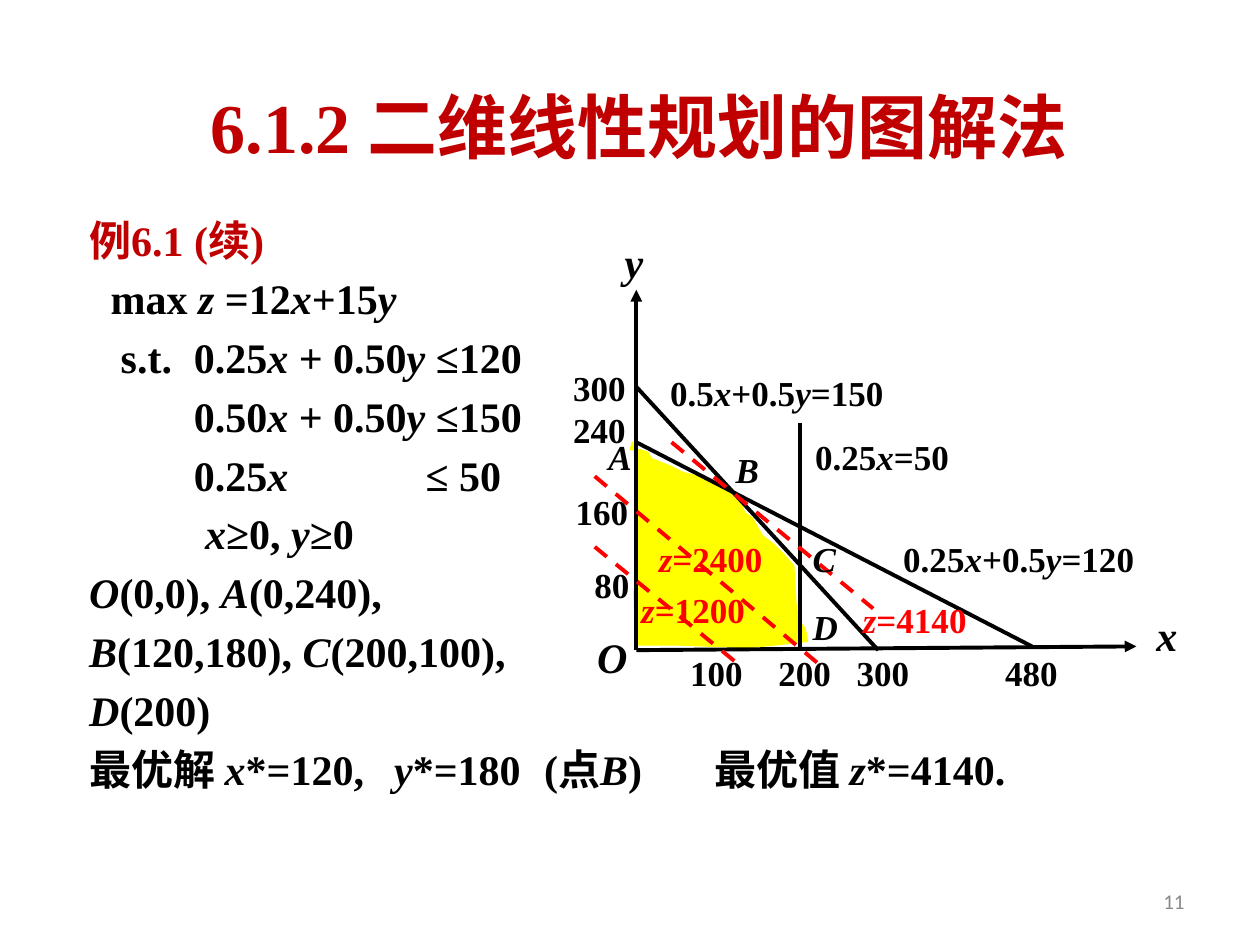
"""Draw the slide on solving a two-variable linear program by graph."""
import dataclasses

import lxml.etree
import pptx
import pptx.dml.color
import pptx.enum.dml
import pptx.enum.shapes
import pptx.enum.text
import pptx.oxml.ns
import pptx.slide
import pptx.text.text
import pptx.util

Inches = pptx.util.Inches
Pt = pptx.util.Pt
Align = pptx.enum.text.PP_ALIGN
Anchor = pptx.enum.text.MSO_ANCHOR


@dataclasses.dataclass(frozen=True)
class Theme:
    serif: str = "Times New Roman"
    sans: str = "Calibri"
    black: str = "000000"
    crimson: str = "C00000"
    red: str = "FF0000"
    yellow: str = "FFFF00"
    grey: str = "898989"
    title: int = 40
    body: int = 24
    label: int = 20
    small: int = 12
    stroke: float = 2.25


THEME = Theme()


@dataclasses.dataclass(frozen=True)
class Line:
    """A text line whose parts, split by bars, turn from roman to italic and back."""
    text: str
    tabs: tuple[float, ...] = ()
    color: str = THEME.black


@dataclasses.dataclass(frozen=True)
class Block:
    box: tuple[float, float, float, float]
    lines: tuple[Line, ...]
    size: int = THEME.label
    align: Align = Align.JUSTIFY
    anchor: Anchor = Anchor.TOP
    font: str = THEME.serif
    bold: bool = True
    gap: float = 0
    inset: float = 0.1


@dataclasses.dataclass(frozen=True)
class Stroke:
    start: tuple[float, float]
    end: tuple[float, float]
    color: str = THEME.black
    dashed: bool = False
    arrow: bool = False


BODY = (
    Line("例6.1 (续)", color=THEME.crimson),
    Line("\tmax |z |=12|x|+15|y", (0.17,)),
    Line("\ts.t.\t0.25|x |+ 0.50|y |≤120", (0.25, 0.83)),
    Line("\t0.50|x |+ 0.50|y |≤150", (0.83,)),
    Line("\t0.25|x|\t≤ 50", (0.83, 2.67)),
    Line("\t|x|≥0, |y|≥0", (0.92,)),
    Line("|O|(0,0), |A|(0,240),"),
    Line("|B|(120,180), |C|(200,100),"),
    Line("|D|(200)"),
    Line("最优解 |x|*=120,\t|y|*=180\t(点|B|)\t最优值 |z|*=4140.", (2.42, 3.61, 4.96)),
)

BLOCKS = (
    Block((0.75, 0.52, 8.5, 0.95), (Line("6.1.2 二维线性规划的图解法", color=THEME.crimson),),
          THEME.title, Align.CENTER, Anchor.MIDDLE, inset=0.24),
    Block((0.61, 1.65, 8.5, 4.96), BODY, THEME.body, Align.LEFT, gap=4.8),
    Block((7.17, 6.95, 2.33, 0.4), (Line("11", color=THEME.grey),),
          THEME.small, Align.RIGHT, Anchor.MIDDLE, THEME.sans, False),
    Block((6.75, 4.7, 1.06, 0.42), (Line("|z|=4140", color=THEME.red),)),
    Block((4.99, 4.62, 1.11, 0.42), (Line("|z|=1200", color=THEME.red),)),
    Block((5.13, 4.22, 1.22, 0.44), (Line("|z|=2400", color=THEME.red),)),
    Block((7.07, 4.22, 2.15, 0.43), (Line("0.25|x|+0.5|y|=120"),)),
    Block((5.22, 2.9, 2.05, 0.42), (Line("0.5|x|+0.5|y|=150"),)),
    Block((6.37, 3.41, 1.45, 0.54), (Line("0.25|x|=50"),)),
    Block((4.64, 4.96, 0.53, 0.58), (Line("|O"),), THEME.body),
    Block((9.08, 4.79, 0.53, 0.58), (Line("|x"),), THEME.body),
    Block((4.86, 1.83, 0.53, 0.58), (Line("|y"),), THEME.body),
    Block((4.73, 3.41, 0.5, 0.5), (Line("|A"),)),
    Block((5.74, 3.51, 0.43, 0.44), (Line("|B"),)),
    Block((6.35, 4.22, 0.45, 0.47), (Line("|C"),)),
    Block((6.35, 4.76, 0.45, 0.44), (Line("|D"),)),
    Block((5.38, 5.12, 3.37, 0.41), (Line("100\t200\t300\t480", (0.7, 1.32, 2.5)),)),
    Block((4.45, 2.86, 0.63, 0.78), (Line("300"), Line("240"))),
    Block((4.47, 3.84, 0.79, 0.58), (Line("160"),)),
    Block((4.62, 4.42, 0.54, 0.47), (Line("80"),)),
)

ORIGIN = (5.05, 5.16)
STROKES = (
    Stroke(ORIGIN, (9.02, 5.13), arrow=True),
    Stroke(ORIGIN, (5.05, 2.3), arrow=True),
    Stroke((5.05, 3.51), (8.19, 5.13)),
    Stroke((5.05, 3.07), (6.97, 5.16)),
    Stroke((6.35, 5.16), (6.35, 3.36)),
    Stroke((4.72, 4.34), (5.87, 5.28), THEME.red, dashed=True),
    Stroke((4.72, 3.78), (6.51, 5.28), THEME.red, dashed=True),
    Stroke((5.33, 3.51), (6.93, 4.83), THEME.red, dashed=True),
)

REGION = (
    (5.02, 3.51), (5.03, 3.56), (5.06, 3.8), (5.07, 4.22), (5.05, 4.66), (5.03, 4.7),
    (5.05, 5.11), (5.07, 5.12), (5.39, 5.12), (5.93, 5.14), (6.15, 5.12), (6.41, 5.09),
    (6.39, 4.99), (6.36, 4.95), (6.32, 4.83), (6.3, 4.49), (6.22, 4.4), (6.14, 4.32),
    (6.05, 4.25), (5.97, 4.11), (5.91, 4.07), (5.88, 3.98), (5.83, 3.93), (5.81, 3.88),
    (5.71, 3.85), (5.66, 3.82), (5.54, 3.78), (5.42, 3.75), (5.32, 3.7), (5.22, 3.66),
    (5.17, 3.64), (5.14, 3.59), (5.08, 3.57), (5, 3.57),
)


def tint(code: str) -> pptx.dml.color.RGBColor:
    """Turn a hex code into a colour."""
    return pptx.dml.color.RGBColor.from_string(code)


def node(parent: lxml.etree._Element, tag: str, **attrs: str) -> lxml.etree._Element:
    """Add an XML child with the given attributes."""
    return lxml.etree.SubElement(parent, pptx.oxml.ns.qn(tag), attrs)


def write(para: pptx.text.text._Paragraph, line: Line, block: Block) -> None:
    """Fill one paragraph with roman and italic runs."""
    if line.tabs:
        stops = node(para._p.get_or_add_pPr(), "a:tabLst")
        for stop in line.tabs:
            node(stops, "a:tab", pos=str(int(Inches(stop))), algn="l")
    para.alignment = block.align
    for rank, part in enumerate(line.text.split("|")):
        if part:
            run = para.add_run()
            run.text = part
            run.font.name = block.font
            run.font.size = Pt(block.size)
            run.font.bold = block.bold
            run.font.italic = rank % 2 == 1
            run.font.color.rgb = tint(line.color)


def draw_block(slide: pptx.slide.Slide, block: Block) -> None:
    """Place one text box."""
    frame = slide.shapes.add_textbox(*map(Inches, block.box)).text_frame
    frame.word_wrap = True
    frame.vertical_anchor = block.anchor
    frame.margin_left = Inches(block.inset)
    for rank, line in enumerate(block.lines):
        para = frame.add_paragraph() if rank else frame.paragraphs[0]
        write(para, line, block)
        if rank and block.gap:
            para.space_before = Pt(block.gap)


def draw_stroke(slide: pptx.slide.Slide, stroke: Stroke) -> None:
    """Draw one straight line, dashed or with an arrowhead if asked."""
    kind = pptx.enum.shapes.MSO_CONNECTOR.STRAIGHT
    link = slide.shapes.add_connector(kind, *map(Inches, stroke.start + stroke.end))
    link.line.color.rgb = tint(stroke.color)
    link.line.width = Pt(THEME.stroke)
    if stroke.dashed:
        link.line.dash_style = pptx.enum.dml.MSO_LINE.DASH
    if stroke.arrow:
        node(link.line._get_or_add_ln(), "a:tailEnd", type="triangle")
    node(link._element.spPr, "a:effectLst")


def draw_region(slide: pptx.slide.Slide) -> None:
    """Fill the set of feasible points."""
    first, *rest = [(Inches(x), Inches(y)) for x, y in REGION]
    pen = slide.shapes.build_freeform(*first)
    pen.add_line_segments(rest, close=True)
    shape = pen.convert_to_shape()
    shape.shadow.inherit = False
    shape.fill.solid()
    shape.fill.fore_color.rgb = tint(THEME.yellow)
    shape.line.color.rgb = tint(THEME.yellow)
    shape.line.width = Pt(0.75)


def main() -> None:
    """Build and save the deck."""
    deck = pptx.Presentation()
    deck.slide_width, deck.slide_height = Inches(10), Inches(7.5)
    slide = deck.slides.add_slide(deck.slide_layouts[6])
    draw_region(slide)
    for stroke in STROKES:
        draw_stroke(slide, stroke)
    for block in BLOCKS:
        draw_block(slide, block)
    deck.save("out.pptx")


if __name__ == "__main__":
    main()
